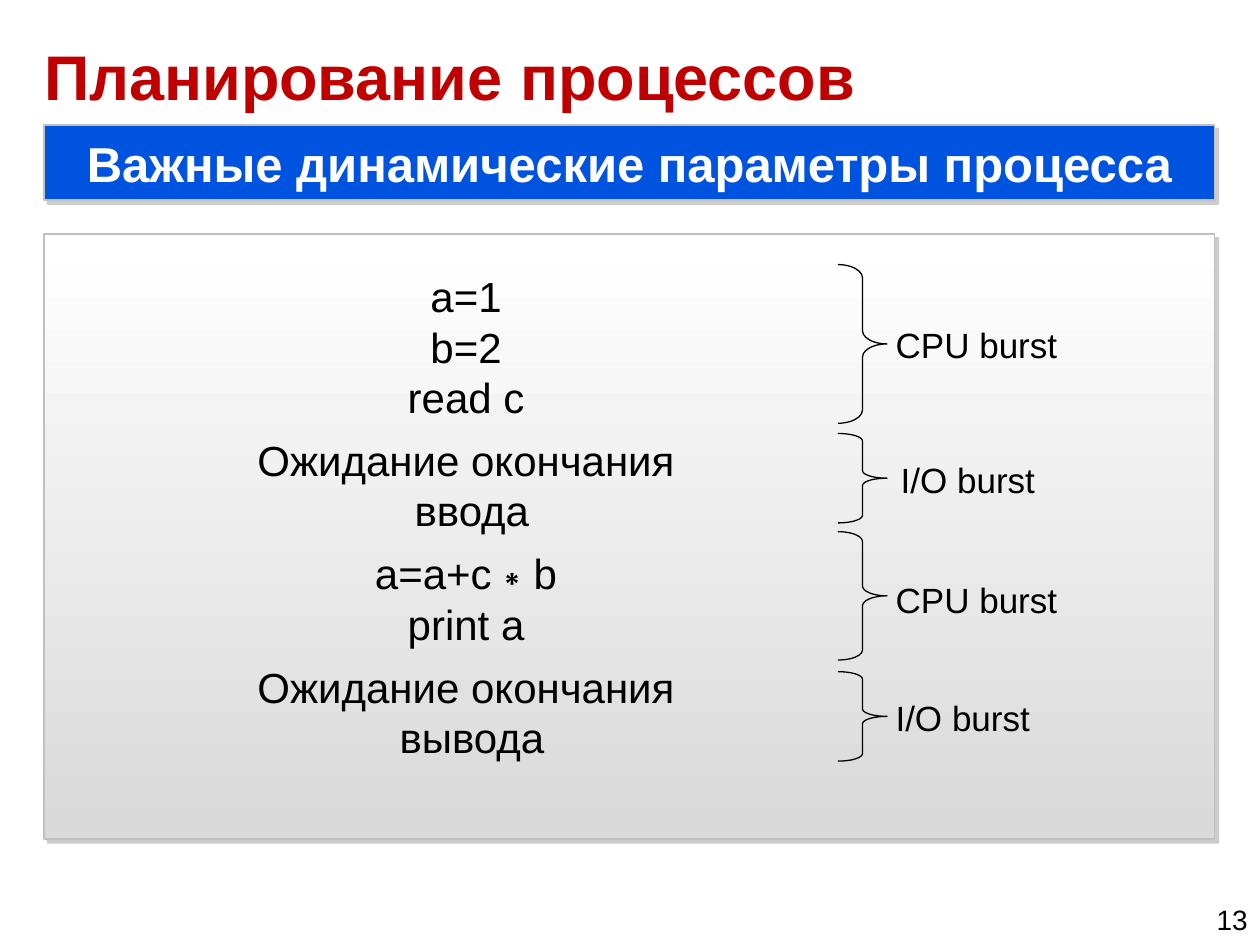
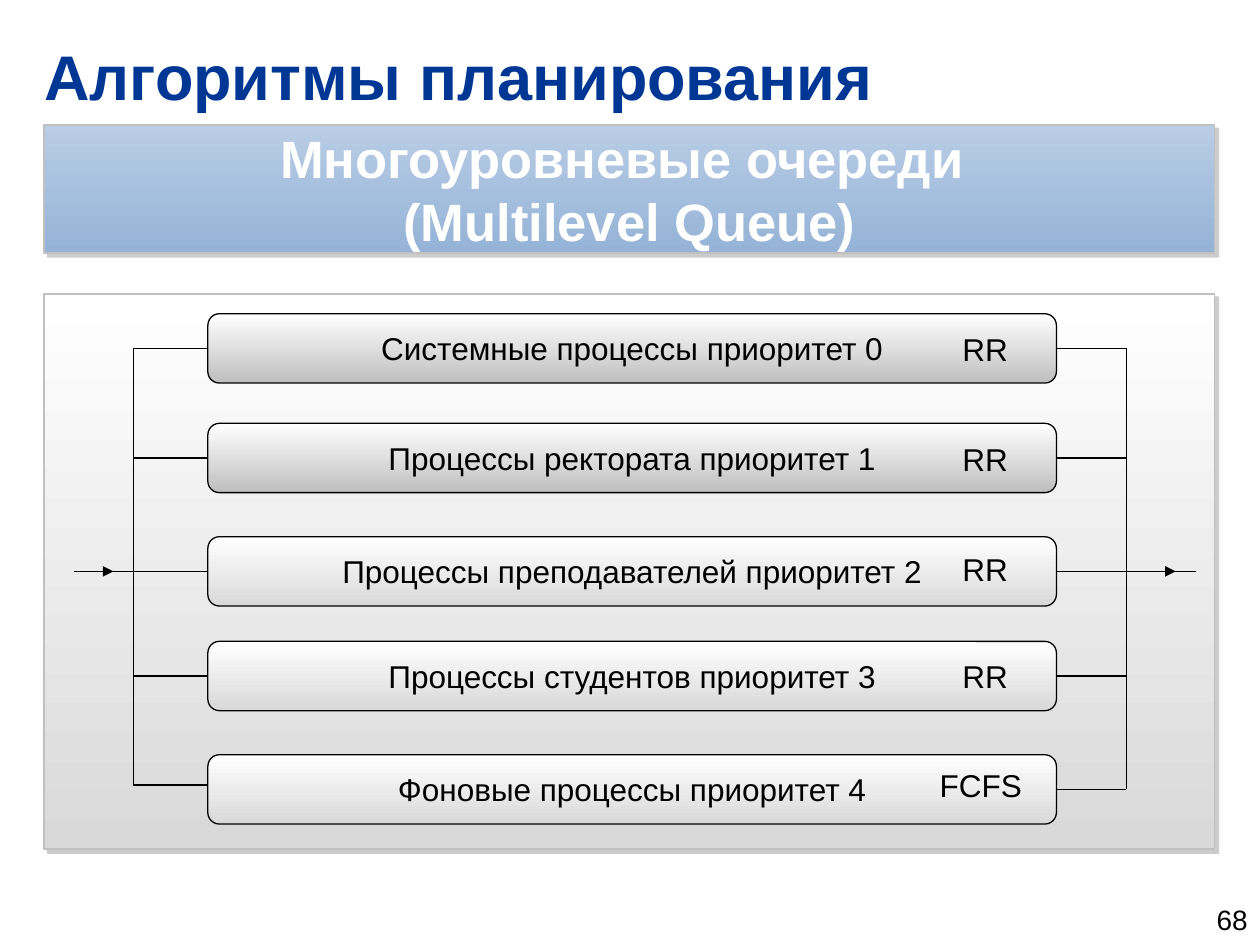
from lxml.etree import SubElement as Sub
from pptx import Presentation as Deck
from pptx.dml.color import RGBColor as Rgb
from pptx.enum.shapes import MSO_CONNECTOR as Link, MSO_SHAPE as Form
from pptx.enum.text import MSO_ANCHOR as Anchor, MSO_AUTO_SIZE as Fit, PP_ALIGN as Align
from pptx.oxml.ns import qn
from pptx.util import Pt

HUE = {
    "red": "C00000", "navy": "003794", "blue": "0053DF", "sky": "B9CDE5",
    "steel": "95B3D7", "white": "FFFFFF", "pale": "D9D9D9", "mid": "BFBFBF",
    "edge": "C0C0C0", "shade": "808080", "black": "000000",
}
LEFT, WIDE = 25.2, 668.9
BRACES = [  # top, height, bend, label, label left, label top
    (151.2, 90.7, 0.27, "CPU burst", 504.7, 181.4),
    (247.7, 51.1, 0.15, "I/O burst", 507.6, 258.5),
    (303.8, 73.4, 0.2, "CPU burst", 504.7, 326.9),
    (383.8, 51.1, 0.15, "I/O burst", 504.7, 394.6),
]
STEPS = [  # text, space before, space after
    ("a=1", 0, 0), ("b=2", 0, 0), ("read c", 0, 0),
    ("Ожидание окончания\v ввода", 7.2, 7.2),
    ("a=a+c∗b", 0, 0), ("print a", 0, 0),
    ("Ожидание окончания\v вывода", 7.2, 0),
]
QUEUES = [  # text, top, end colour, tag, tag left, tag top, tag width
    ("Системные процессы приоритет 0", 179.3, "mid", "RR", 542.9, 185, 43.9),
    ("Процессы ректората приоритет 1", 241.9, "mid", "RR", 542.9, 247.7, 43.9),
    ("Процессы преподавателей приоритет 2", 306.7, "pale", "RR", 542.9, 311, 43.9),
    ("Процессы студентов приоритет 3", 366.5, "pale", "RR", 542.9, 372.2, 43.9),
    ("Фоновые процессы приоритет 4", 431.3, "pale", "FCFS", 529.9, 434.2, 67.7),
]
HIGH = 39.6
BUS_IN, BUS_OUT = 76.3, 643.7


def rgb(name):
    return Rgb.from_string(HUE[name])


def put(item, **form):
    for key, val in form.items():
        setattr(item, key, val)


def write(par, text, size, hue="black", bold=False, align=Align.LEFT):
    par.text = text
    par.alignment = align
    put(par.font, name="Arial", size=Pt(size), bold=bold)
    par.font.color.rgb = rgb(hue)


def paint(shape, hues):
    """Fill with nothing, one colour, or a fade from top to bottom."""
    fill = shape.fill
    if not hues:
        fill.background()
    elif len(hues) == 1:
        fill.solid()
        fill.fore_color.rgb = rgb(hues[0])
    else:
        fill.gradient()
        fill.gradient_angle = 270
        for stop, hue, pos in zip(fill.gradient_stops, hues, (0, 1)):
            stop.color.rgb = rgb(hue)
            stop.position = pos


def draw(slide, form, box, hues=(), edge="black", thick=0.75):
    shape = slide.shapes.add_shape(form, *map(Pt, box))
    shape.shadow.inherit = False
    paint(shape, hues)
    shape.line.color.rgb = rgb(edge)
    shape.line.width = Pt(thick)
    return shape


def panel(slide, top, high, hues):
    """Draw a full-width box with a grey edge and a hard shadow."""
    shape = draw(slide, Form.RECTANGLE, (LEFT, top, WIDE, high), hues, "edge", 1)
    cast = Sub(shape._element.spPr.find(qn("a:effectLst")), qn("a:outerShdw"),
               dist=str(Pt(3)), dir="2700000", algn="ctr", rotWithShape="0")
    tint = Sub(cast, qn("a:srgbClr"), val=HUE["shade"])
    Sub(tint, qn("a:alpha"), val="40000")
    return shape


def band(slide, text, size, high, hues):
    frame = panel(slide, 71.3, high, hues).text_frame
    put(frame, word_wrap=True, vertical_anchor=Anchor.MIDDLE,
        margin_left=Pt(17), margin_right=Pt(17), margin_top=Pt(3), margin_bottom=Pt(3))
    par = frame.paragraphs[0]
    write(par, text, size, "white", True, Align.CENTER)
    par.space_after = Pt(size * 0.2)


def label(slide, text, box, size, **form):
    frame = slide.shapes.add_textbox(*map(Pt, box)).text_frame
    frame.word_wrap = True
    write(frame.paragraphs[0], text, size, **form)
    return frame


def start(deck, title, hue, page):
    """Add a slide with its title and page number."""
    slide = deck.slides.add_slide(deck.slide_layouts[5])
    head = slide.shapes.title
    put(head, left=Pt(LEFT), top=Pt(18.7), width=Pt(WIDE), height=Pt(49))
    put(head.text_frame, word_wrap=True, auto_size=Fit.NONE, vertical_anchor=Anchor.MIDDLE,
        margin_left=0, margin_right=0, margin_top=0, margin_bottom=0)
    write(head.text_frame.paragraphs[0], title, 36, hue, True)
    foot = label(slide, page, (632.2, 511.2, 87.8, 28.8), 16, align=Align.RIGHT)
    foot.vertical_anchor = Anchor.MIDDLE
    return slide


def line(slide, x1, y1, x2, y2, arrow=False):
    link = slide.shapes.add_connector(Link.STRAIGHT, *map(Pt, (x1, y1, x2, y2)))
    link.line.color.rgb = rgb("black")
    link.line.width = Pt(0.75)
    props = link._element.spPr
    if arrow:
        Sub(props.find(qn("a:ln")), qn("a:tailEnd"), type="triangle")
    Sub(props, qn("a:effectLst"))
    return link


def brace(slide, top, high, bend, text, left, peak):
    shape = draw(slide, Form.RIGHT_BRACE, (478.8, top, 28.1, high))
    shape.adjustments[0] = bend
    label(slide, text, (left, peak, 124.6, 31.7), 20)


def queue(slide, text, top, end, tag, left, peak, wide):
    shape = draw(slide, Form.ROUNDED_RECTANGLE, (118.8, top, 484.9, HIGH), ("white", end))
    put(shape.text_frame, word_wrap=False, vertical_anchor=Anchor.MIDDLE)
    write(shape.text_frame.paragraphs[0], text, 18, align=Align.CENTER)
    label(slide, tag, (left, peak, wide, 28.8), 18)
    return shape


def bus(slide, x, rows):
    """Draw the upright line that gathers the queues."""
    for a, b in ((2, 0), (2, 3), (3, 4)):
        line(slide, x, rows[a], x, rows[b])


def bursts(deck):
    slide = start(deck, "Планирование процессов", "red", "13")
    band(slide, "Важные динамические параметры процесса", 28, 43.2, ("blue",))
    panel(slide, 133.9, 345.6, ("white", "pale"))
    frame = slide.shapes.add_textbox(*map(Pt, (48.2, 151.2, 436.3, 295.2))).text_frame
    frame.word_wrap = True
    for num, (text, before, after) in enumerate(STEPS):
        par = frame.add_paragraph() if num else frame.paragraphs[0]
        write(par, text, 24, align=Align.CENTER)
        put(par, space_before=Pt(before), space_after=Pt(after))
    for row in BRACES:
        brace(slide, *row)


def levels(deck):
    slide = start(deck, "Алгоритмы планирования", "navy", "68")
    band(slide, "Многоуровневые очереди \v(Multilevel Queue)", 30, 73.4, ("sky", "steel"))
    panel(slide, 167.8, 317.5, ("white", "pale"))
    boxes = [queue(slide, *row) for row in QUEUES]
    rows = [row[1] + HIGH / 2 for row in QUEUES]
    low = rows[:-1] + [448.6]
    for box, y, drop in zip(boxes, rows, low):
        inlet = line(slide, BUS_IN, drop, 118.8, drop)
        if drop == y:
            inlet.end_connect(box, 1)
        line(slide, 603.7, y, BUS_OUT, y).begin_connect(box, 3)
    bus(slide, BUS_IN, low)
    bus(slide, BUS_OUT, rows)
    main_y = rows[2]
    line(slide, BUS_IN, main_y, 42.5, main_y)
    line(slide, BUS_OUT, main_y, 683.3, main_y)
    for x1, x2 in ((51.1, 64.8), (657.4, 671.8)):
        line(slide, x1, main_y, x2, main_y, arrow=True)


def main():
    deck = Deck()
    put(deck, slide_width=Pt(720), slide_height=Pt(540))
    bursts(deck)
    levels(deck)
    deck.save("out.pptx")


if __name__ == "__main__":
    main()
